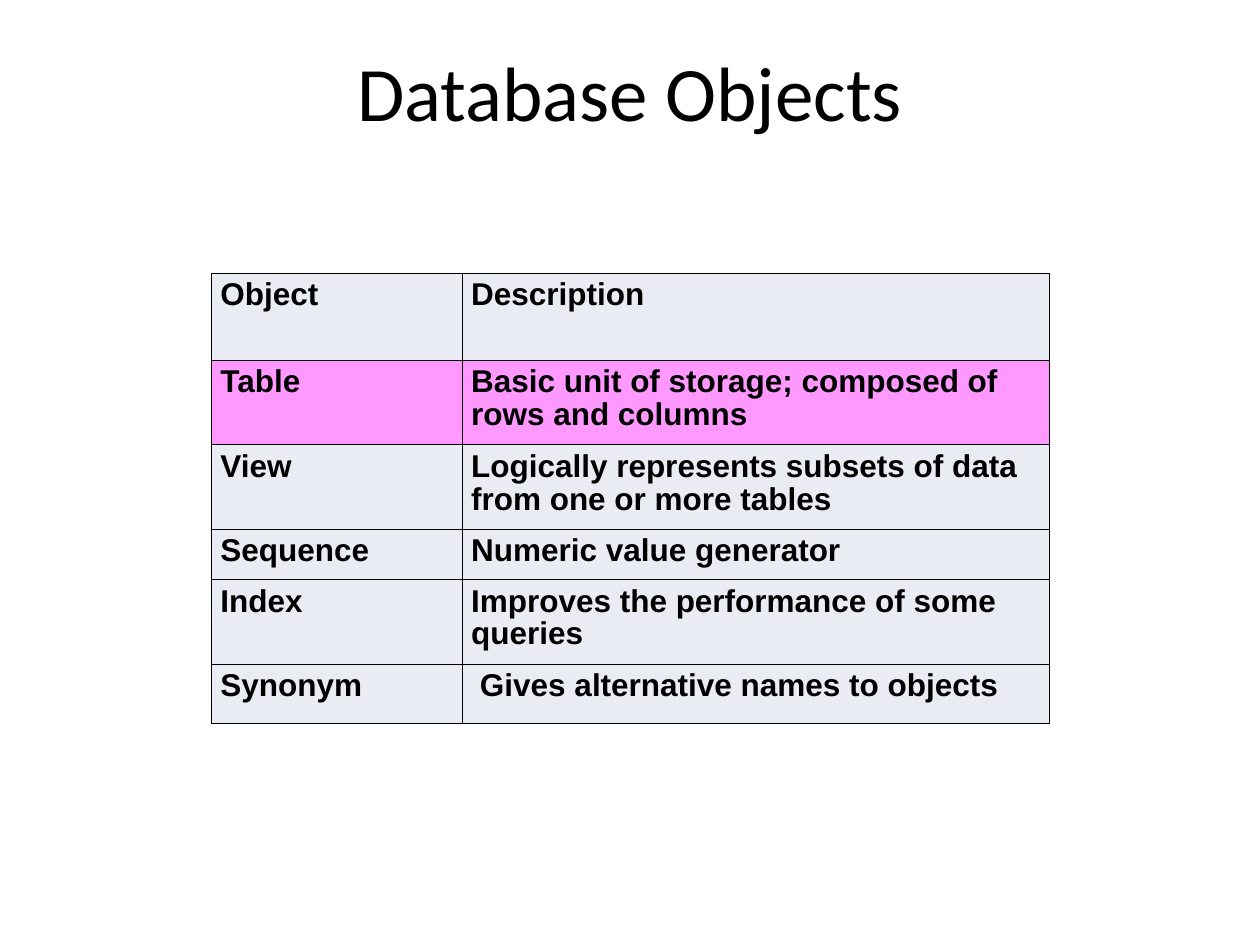
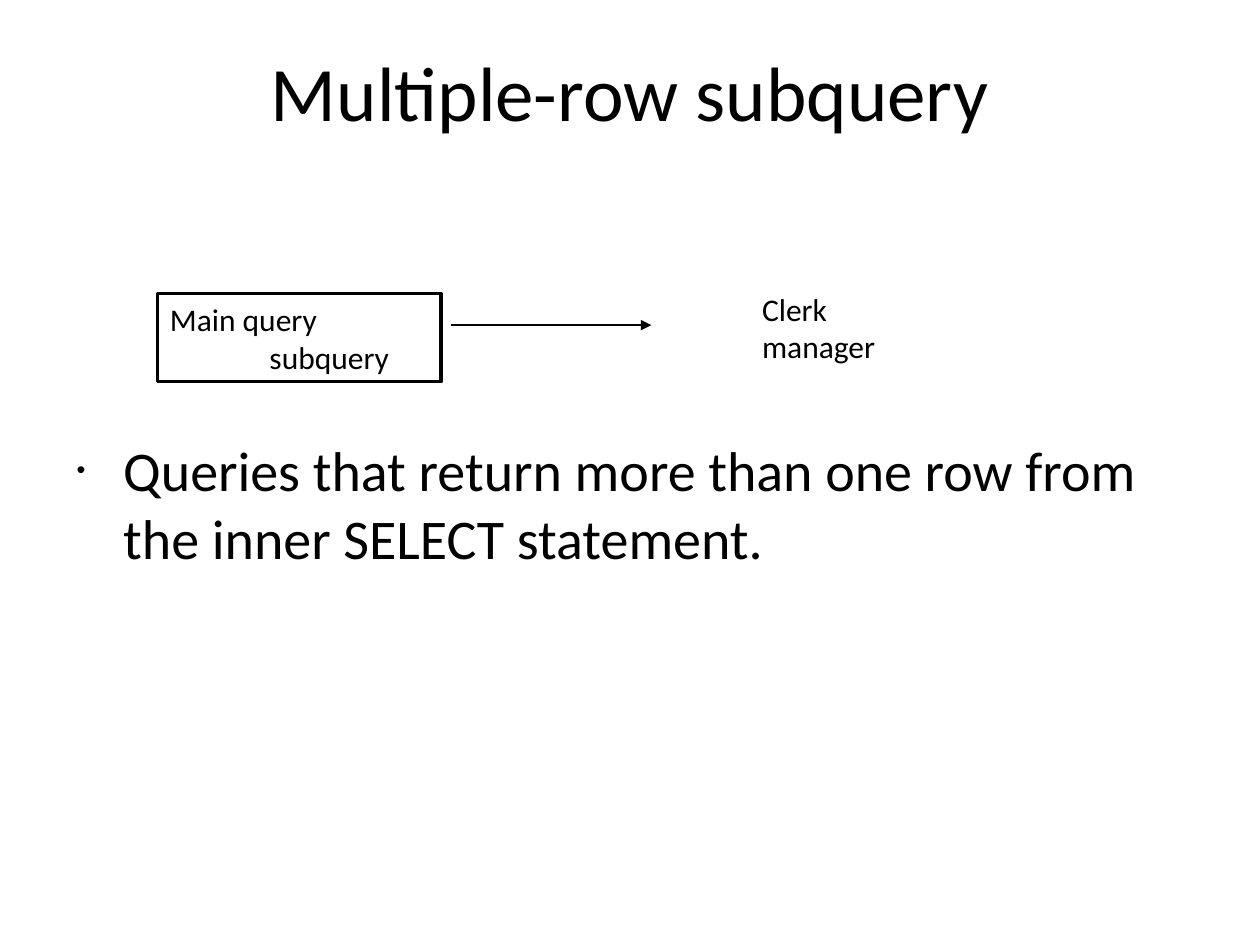
from dataclasses import dataclass

from lxml import etree
from pptx import Presentation
from pptx import util as u
from pptx.dml.color import RGBColor
from pptx.enum import shapes, text
from pptx.oxml import ns

BLACK, WHITE, PALE, PINK = "000000", "FFFFFF", "E9ECF3", "FF99FF"
BODY_FONT, TABLE_FONT = "Calibri", "Arial"


@dataclass
class Place:
    left: float
    top: float
    width: float
    height: float

    def lengths(self) -> list:
        return [u.Inches(n) for n in (self.left, self.top, self.width, self.height)]


@dataclass
class ObjectRow:
    name: str
    description: str
    height: float
    fill: str = PALE
    indent: float = 0


TITLE = Place(0.5, 0.3, 9, 1.25)
OBJECT_TABLE = Place(1.68, 2.17, 6.65, 3.57)
COLUMN_WIDTHS = (1.99, 4.66)
OBJECT_ROWS = [
    ObjectRow("Object", "Description", 0.69),
    ObjectRow("Table", "Basic unit of storage; composed of rows and columns", 0.67, PINK),
    ObjectRow("View", "Logically represents subsets of data from one or more tables", 0.67),
    ObjectRow("Sequence", "Numeric value generator", 0.4),
    ObjectRow("Index", "Improves the performance of some queries", 0.67),
    ObjectRow("Synonym", "Gives alternative names to objects", 0.47, indent=0.07),
]


def colour(value: str) -> RGBColor:
    return RGBColor.from_string(value)


def add_xml(parent, tag: str, **attributes):
    return etree.SubElement(parent, ns.qn(tag), attributes)


def write(frame, *lines: str, size=18, font=BODY_FONT, bold=False, align=text.PP_ALIGN.LEFT,
          spacing=None, indents=(0,), hanging=0, bullet=False, side=0.1) -> None:
    frame.word_wrap = True
    frame.auto_size = text.MSO_AUTO_SIZE.NONE
    frame.vertical_anchor = text.MSO_ANCHOR.TOP
    frame.margin_left = frame.margin_right = u.Inches(side)
    frame.margin_top = frame.margin_bottom = u.Inches(0.05)
    for number, line in enumerate(lines):
        para = frame.paragraphs[0] if number == 0 else frame.add_paragraph()
        properties = para._p.get_or_add_pPr()
        properties.set("marL", str(u.Inches(indents[number % len(indents)])))
        properties.set("indent", str(u.Inches(-hanging)))
        para.alignment = align
        if spacing:
            para.line_spacing = spacing
        if bullet:
            add_xml(add_xml(properties, "a:buClr"), "a:srgbClr", val=BLACK)
            add_xml(properties, "a:buSzPct", val="45000")
            add_xml(properties, "a:buFont", typeface=TABLE_FONT)
            add_xml(properties, "a:buChar", char="•")
        span = para.add_run()
        span.text = line
        span.font.size = u.Pt(size)
        span.font.name = font
        span.font.bold = bold
        span.font.color.rgb = colour(BLACK)


def add_page(deck, title: str):
    page = deck.slides.add_slide(deck.slide_layouts[5])
    page.background.fill.solid()
    page.background.fill.fore_color.rgb = colour(WHITE)
    box = page.shapes.title
    box.left, box.top, box.width, box.height = TITLE.lengths()
    write(box.text_frame, title, size=44, align=text.PP_ALIGN.CENTER)
    return page


def add_text(page, place: Place, *lines: str, **style) -> None:
    write(page.shapes.add_textbox(*place.lengths()).text_frame, *lines, **style)


def add_outlined_box(page, place: Place, *lines: str, **style) -> None:
    box = page.shapes.add_shape(shapes.MSO_SHAPE.RECTANGLE, *place.lengths())
    box.shadow.inherit = False
    box.fill.background()
    box.line.color.rgb = colour(BLACK)
    box.line.width = u.Pt(2)
    write(box.text_frame, *lines, **style)


def add_arrow(page, left: float, right: float, height: float) -> None:
    arrow = page.shapes.add_connector(
        shapes.MSO_CONNECTOR.STRAIGHT,
        *[u.Inches(n) for n in (left, height, right, height)])
    arrow.line.color.rgb = colour(BLACK)
    arrow.line.width = u.Pt(0.75)
    add_xml(arrow.line._get_or_add_ln(), "a:tailEnd", type="triangle")
    add_xml(arrow._element.spPr, "a:effectLst")


def format_cell(cell, fill: str) -> None:
    properties = cell._tc.get_or_add_tcPr()
    for side in ("a:lnL", "a:lnR", "a:lnT", "a:lnB"):
        border = add_xml(properties, side, w=str(u.Pt(0.45)))
        add_xml(add_xml(border, "a:solidFill"), "a:srgbClr", val=BLACK)
    cell.fill.solid()
    cell.fill.fore_color.rgb = colour(fill)


def add_object_table(page) -> None:
    table = page.shapes.add_table(
        len(OBJECT_ROWS), len(COLUMN_WIDTHS), *OBJECT_TABLE.lengths()).table
    table.first_row = table.horz_banding = False
    for column, width in zip(table.columns, COLUMN_WIDTHS):
        column.width = u.Inches(width)
    for row, entry in zip(table.rows, OBJECT_ROWS):
        row.height = u.Inches(entry.height)
        contents = ((entry.name, 0), (entry.description, entry.indent))
        for cell, (words, indent) in zip(row.cells, contents):
            format_cell(cell, entry.fill)
            write_cell(cell, words, indent)


def write_cell(cell, words: str, indent: float) -> None:
    cell.margin_left = cell.margin_right = u.Inches(0.07)
    cell.margin_top = cell.margin_bottom = u.Inches(0.05)
    write(cell.text_frame, words, font=TABLE_FONT, bold=True, spacing=0.93,
          indents=(indent,), side=0.07)


def build_objects_page(deck) -> None:
    add_object_table(add_page(deck, "Database Objects"))


def build_subquery_page(deck) -> None:
    page = add_page(deck, "Multiple-row subquery")
    add_text(page, Place(0.5, 3.41, 9, 3.29),
             "Queries that return more than one row from the inner SELECT statement.",
             size=32, indents=(0.38,), hanging=0.37, bullet=True)
    add_outlined_box(page, Place(1.25, 2.33, 2.25, 0.7),
                     "Main query", "subquery", indents=(0, 0.79))
    add_arrow(page, 3.58, 5.17, 2.58)
    add_text(page, Place(5.33, 2.25, 1.92, 0.7), "Clerk", "manager", indents=(0.62,))


def main() -> None:
    deck = Presentation()
    deck.slide_width, deck.slide_height = u.Inches(10), u.Inches(7.5)
    build_objects_page(deck)
    build_subquery_page(deck)
    deck.save("out.pptx")


if __name__ == "__main__":
    main()
